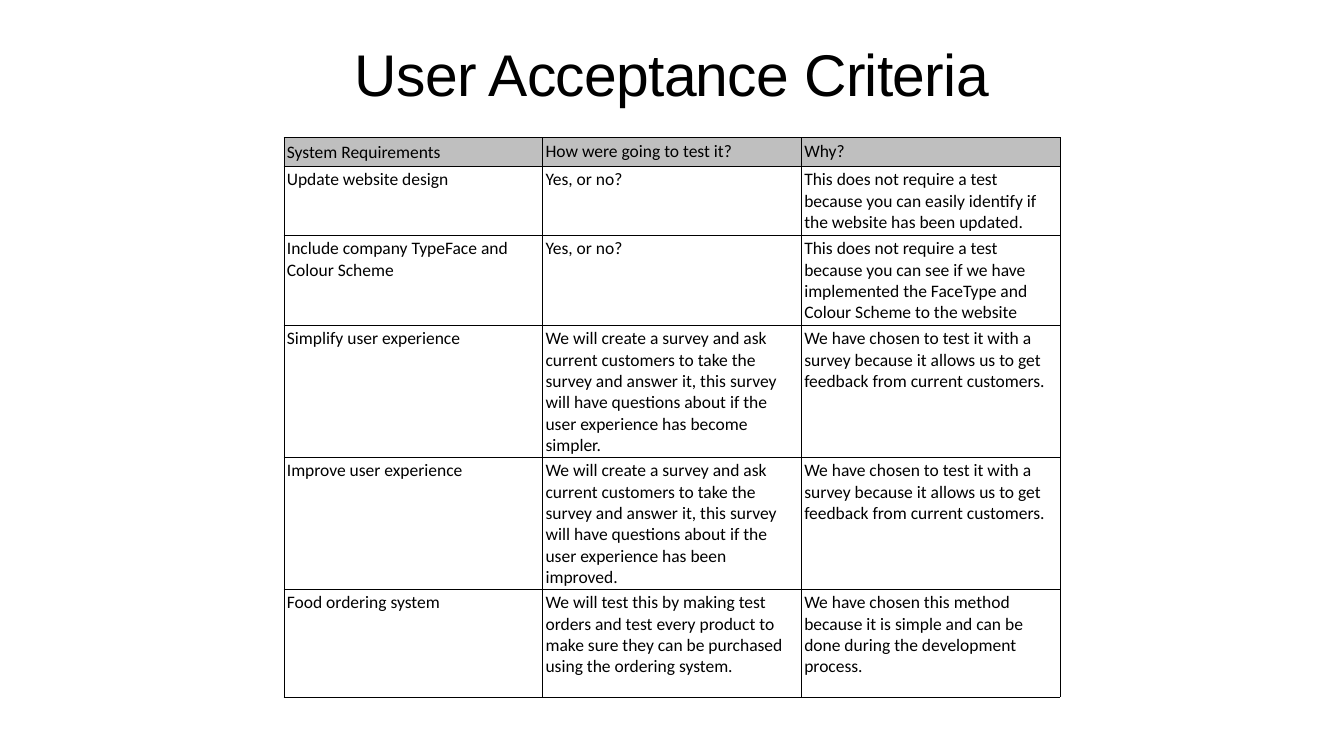
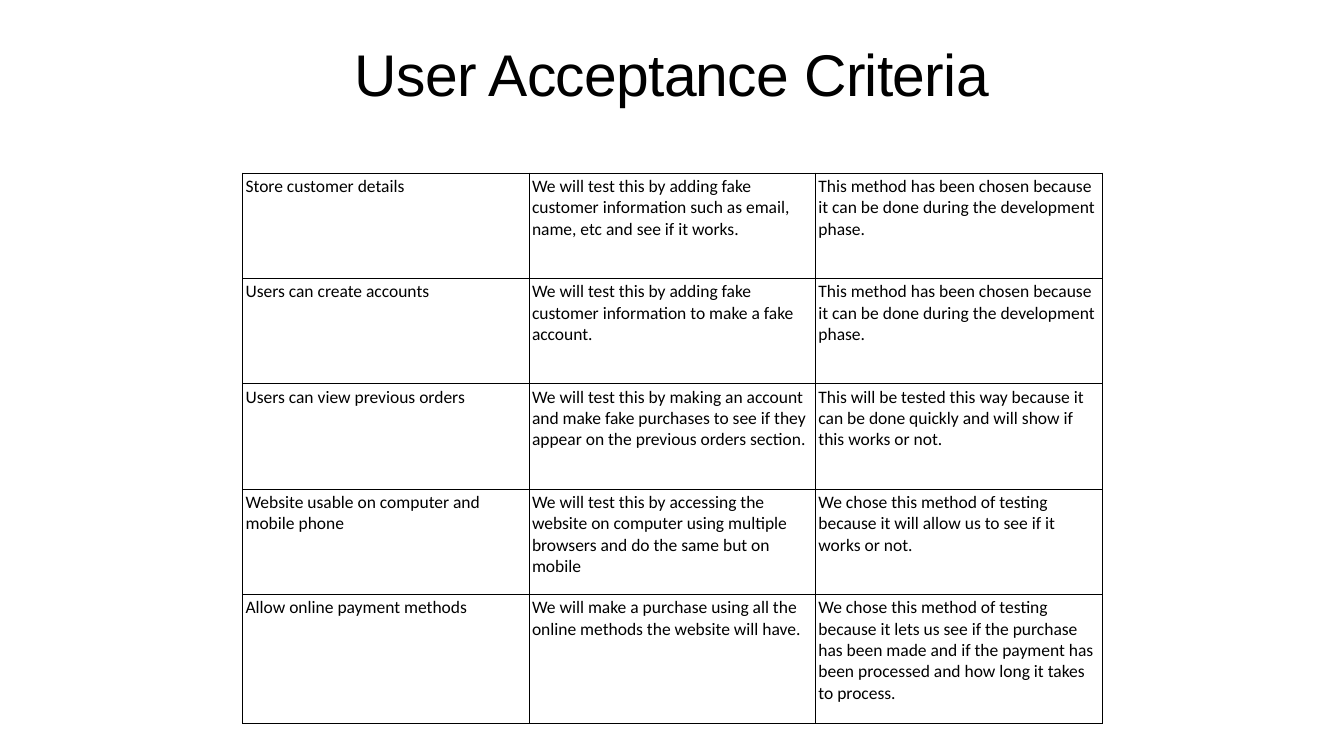
from dataclasses import dataclass

from lxml import etree
from pptx import Presentation
from pptx.dml.color import RGBColor
from pptx.enum.text import MSO_ANCHOR as Anchor, PP_ALIGN as Align
from pptx.oxml.ns import qn
from pptx.util import Pt


@dataclass(frozen=True)
class Theme:
    ink: RGBColor = RGBColor(0x00, 0x00, 0x00)
    paper: RGBColor = RGBColor(0xFF, 0xFF, 0xFF)
    header_fill: RGBColor = RGBColor(0xBF, 0xBF, 0xBF)
    title_font: str = "Arial"
    body_font: str = "Calibri"
    title_size: int = 84
    body_size: int = 25
    title_tracking: int = -1
    title_spacing: float = 0.9
    header_spacing: float = 1.08
    rule: float = 0.5
    inset: float = 4.32


class Deck:
    """Holds the theme and the slide being built."""

    def __init__(self, theme):
        self.theme = theme
        self.show = Presentation()
        self.show.slide_width, self.show.slide_height = Pt(1920), Pt(1080)
        self.slide = None

    def new_slide(self, heading):
        self.slide = self.show.slides.add_slide(self.show.slide_layouts[6])
        background = self.slide.background.fill
        background.solid()
        background.fore_color.rgb = self.theme.paper
        self.title(heading)

    def set_insets(self, holder):
        holder.margin_left = holder.margin_right = Pt(self.theme.inset)
        holder.margin_top = holder.margin_bottom = Pt(self.theme.inset)

    def set_font(self, paragraph, name, size):
        paragraph.font.name = name
        paragraph.font.size = Pt(size)
        paragraph.font.color.rgb = self.theme.ink

    def title(self, heading):
        theme = self.theme
        frame = self.slide.shapes.add_textbox(Pt(96), Pt(61), Pt(1728), Pt(136)).text_frame
        frame.word_wrap = True
        frame.vertical_anchor = Anchor.TOP
        self.set_insets(frame)
        line = frame.paragraphs[0]
        line.alignment = Align.CENTER
        line.line_spacing = theme.title_spacing
        run = line.add_run()
        run.text = heading
        self.set_font(line, theme.title_font, theme.title_size)
        run._r.get_or_add_rPr().set("spc", str(theme.title_tracking * 100))

    def criteria_table(self, left, top, column_width, row_heights, rows, has_header=False):
        columns = len(rows[0])
        table = self.slide.shapes.add_table(
            len(rows), columns, Pt(left), Pt(top),
            Pt(column_width * columns), Pt(sum(row_heights))).table
        table.first_row = has_header
        table.horz_banding = False
        for column in table.columns:
            column.width = Pt(column_width)
        for r, (height, texts) in enumerate(zip(row_heights, rows)):
            table.rows[r].height = Pt(height)
            for c, text in enumerate(texts):
                self.cell(table.cell(r, c), text, has_header and r == 0)
        if has_header:
            table.cell(0, 0).text_frame.paragraphs[0].line_spacing = self.theme.header_spacing

    def cell(self, cell, text, is_header):
        cell.text = text
        cell.vertical_anchor = Anchor.TOP
        self.set_insets(cell)
        paragraph = cell.text_frame.paragraphs[0]
        self.set_font(paragraph, self.theme.body_font, self.theme.body_size)
        paragraph.font.bold = False
        if is_header:
            cell.fill.solid()
            cell.fill.fore_color.rgb = self.theme.header_fill
        else:
            cell.fill.background()
        self.borders(cell)

    def borders(self, cell):
        properties = cell._tc.get_or_add_tcPr()
        for position, side in enumerate(("lnL", "lnR", "lnT", "lnB")):
            line = etree.Element(qn(f"a:{side}"), w=str(Pt(self.theme.rule)))
            fill = etree.SubElement(line, qn("a:solidFill"))
            etree.SubElement(fill, qn("a:srgbClr"), val=str(self.theme.ink))
            properties.insert(position, line)


HEADING = "User Acceptance Criteria"

# Wording shared by several rows
SURVEY = ("We will create a survey and ask current customers to take the survey and answer it, "
          "this survey will have questions about if the user experience has {}.")
SURVEY_REASON = ("We have chosen to test it with a survey because it allows us to get "
                 "feedback from current customers.")
PHASE_REASON = ("This method has been chosen because it can be done during the "
                "development phase.")

DESIGN_CRITERIA = [
    ("System Requirements", "How were going to test it?", "Why?"),
    ("Update website design", "Yes, or no?",
     "This does not require a test because you can easily identify if the website "
     "has been updated."),
    ("Include company TypeFace and Colour Scheme", "Yes, or no?",
     "This does not require a test because you can see if we have implemented the "
     "FaceType and Colour Scheme to the website"),
    ("Simplify user experience", SURVEY.format("become simpler"), SURVEY_REASON),
    ("Improve user experience", SURVEY.format("been improved"), SURVEY_REASON),
    ("Food ordering system",
     "We will test this by making test orders and test every product to make sure they "
     "can be purchased using the ordering system.",
     "We have chosen this method because it is simple and can be done during the "
     "development process."),
]

ACCOUNT_CRITERIA = [
    ("Store customer details",
     "We will test this by adding fake customer information such as email, name, etc "
     "and see if it works.", PHASE_REASON),
    ("Users can create accounts",
     "We will test this by adding fake customer information to make a fake account.",
     PHASE_REASON),
    ("Users can view previous orders",
     "We will test this by making an account and make fake purchases to see if they "
     "appear on the previous orders section.",
     "This will be tested this way because it can be done quickly and will show if "
     "this works or not."),
    ("Website usable on computer and mobile phone",
     "We will test this by accessing the website on computer using multiple browsers "
     "and do the same but on mobile",
     "We chose this method of testing because it will allow us to see if it works or not."),
    ("Allow online payment methods",
     "We will make a purchase using all the online methods the website will have.",
     "We chose this method of testing because it lets us see if the purchase has been "
     "made and if the payment has been processed and how long it takes to process."),
]


def main():
    deck = Deck(Theme())

    # Design and ordering requirements
    deck.new_slide(HEADING)
    deck.criteria_table(405.5, 196.5, 369.6, [41, 98, 126, 182, 182, 154],
                        DESIGN_CRITERIA, has_header=True)

    # Account and payment requirements
    deck.new_slide(HEADING)
    deck.criteria_table(346.5, 247, 409.2, [150.5] * 4 + [184.5], ACCOUNT_CRITERIA)

    deck.show.save("out.pptx")


if __name__ == "__main__":
    main()
